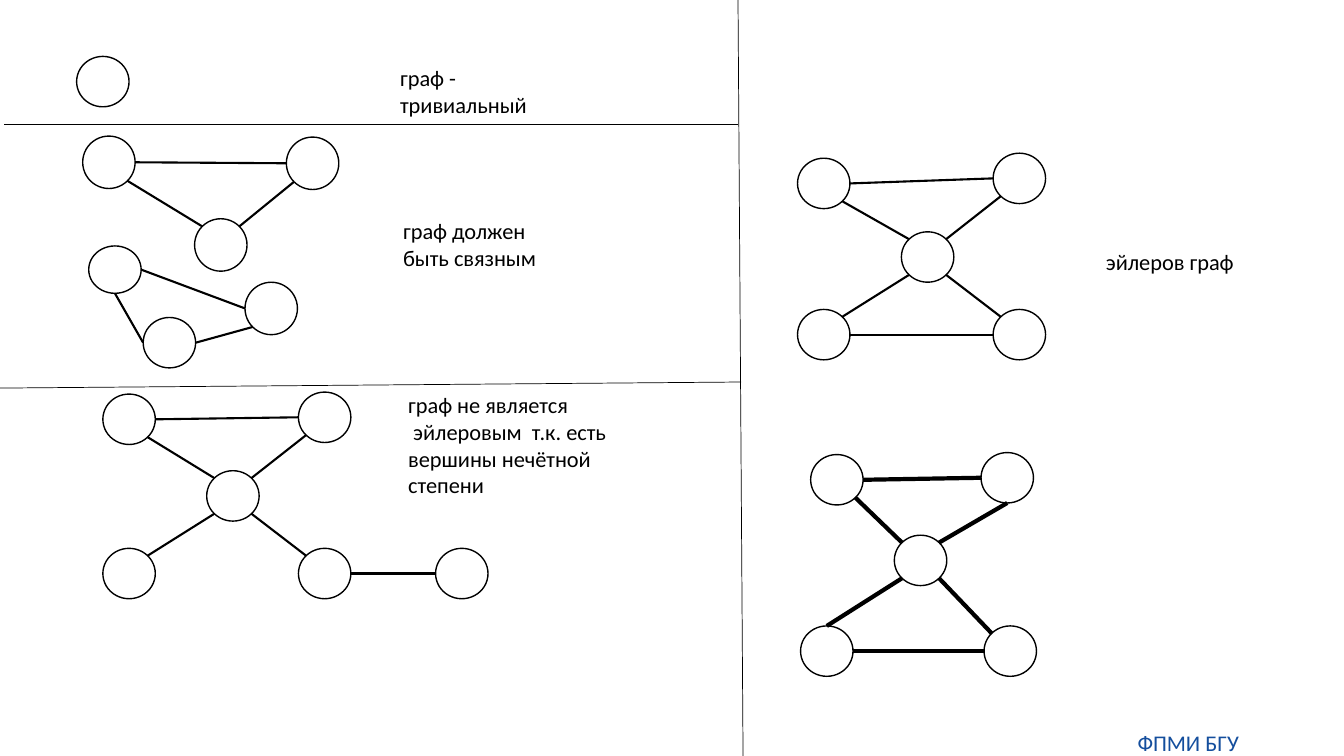
import pptx
import pptx.util
import pptx.dml.color
import pptx.enum.shapes
import pptx.enum.text
from lxml import etree

PX = 9144
SLIDE_SIZE = (1333, 750)
BLACK, WHITE, BLUE = "000000", "FFFFFF", "144E9D"
FONT, TEXT_SIZE = "Calibri", 16
NODE_WIDTH, NODE_HEIGHT = 52, 50

BOWTIE_EDGES = [
    ("A", "SE", "C", "NW"), ("B", "SW", "C", "NE"), ("A", "E", "B", "W"),
    ("C", "SW", "D", "NE"), ("C", "SE", "E", "NW"), ("D", "E", "E", "W"),
]

GRAPHS = [
    {"edge_width": 1.5,
     "nodes": {"A": (791, 157), "B": (985, 152), "C": (894, 230),
               "D": (791, 307), "E": (985, 307)},
     "edges": BOWTIE_EDGES},
    {"edge_width": 1.5,
     "nodes": {"A": (102, 391), "B": (296, 389), "C": (205, 467),
               "D": (102, 544), "E": (296, 544), "F": (432, 544)},
     "edges": BOWTIE_EDGES[:-1] + [("E", "E", "F", "W")]},
    {"edge_width": 1.5, "nodes": {"A": (76, 56)}, "edges": []},
    {"edge_width": 1.5,
     "nodes": {"A": (82, 135, 52), "B": (284, 136, 52), "C": (193, 217, 52),
               "D": (88, 244, 47), "E": (243, 280, 52), "F": (142, 315)},
     "edges": BOWTIE_EDGES[:3] + [("D", "E", "E", "W"), ("D", "S", "F", "W"),
                                  ("F", "E", "E", "SW")]},
    {"edge_width": 3,
     "nodes": {"A": (804, 451), "B": (973, 449), "C": (887, 531),
               "D": (794, 621), "E": (976, 621)},
     "edges": [("A", "E", "B", "W"), ("B", "S", "C", "NE"), ("C", "SW", "D", "N"),
               ("D", "E", "E", "W"), ("E", "NW", "C", "SE"), ("C", "NW", "A", "SE")]},
]

DIVIDERS = [(4, 123, 732, 123), (0, 385, 735, 379), (732, 0, 737, 750)]

FRAMED_LABELS = [
    ((1087, 241, 149, 37), "эйлеров граф", False),
    ((390, 211, 190, 64), "граф должен быть связным", True),
    ((387, 59, 190, 64), "граф - тривиальный", True),
]
ODD_DEGREE_NOTE = ((395, 383, 247, 118),
                   ["граф не является",
                    " эйлеровым  т.к. есть вершины нечётной степени"])
FOOTER = ((1122, 723, 113, 27), ["ФПМИ БГУ"])

DIAGONAL = 0.5 ** 0.5
SITES = {"N": (0, -1), "S": (0, 1), "E": (1, 0), "W": (-1, 0)}
for vertical in "NS":
    for horizontal in "EW":
        SITES[vertical + horizontal] = (SITES[horizontal][0] * DIAGONAL,
                                        SITES[vertical][1] * DIAGONAL)


def emu(*lengths):
    return [round(length * PX) for length in lengths]


def colour(value):
    return pptx.dml.color.RGBColor.from_string(value)


def add_outline(shapes, kind, box, line_colour, line_width):
    outline = shapes.add_shape(kind, *emu(*box))
    outline.shadow.inherit = False
    outline.fill.background()
    outline.line.color.rgb = colour(line_colour)
    outline.line.width = pptx.util.Pt(line_width)
    return outline


def add_line(shapes, ends, width):
    line = shapes.add_connector(pptx.enum.shapes.MSO_CONNECTOR.STRAIGHT, *emu(*ends))
    line.line.color.rgb = colour(BLACK)
    line.line.width = pptx.util.Pt(width)
    etree.SubElement(line._element.spPr, pptx.oxml.ns.qn("a:effectLst"))


def site_point(node, site):
    left, top, height = (*node, NODE_HEIGHT)[:3]
    across, down = SITES[site]
    return (left + NODE_WIDTH / 2 * (1 + across), top + height / 2 * (1 + down))


def add_graph(shapes, graph):
    nodes = graph["nodes"]
    for node in nodes.values():
        left, top, height = (*node, NODE_HEIGHT)[:3]
        add_outline(shapes, pptx.enum.shapes.MSO_SHAPE.OVAL,
                    (left, top, NODE_WIDTH, height), BLACK, 1)
    for start, start_site, end, end_site in graph["edges"]:
        ends = site_point(nodes[start], start_site) + site_point(nodes[end], end_site)
        add_line(shapes, ends, graph["edge_width"])


def write(frame, lines, text_colour=BLACK, align=pptx.enum.text.PP_ALIGN.LEFT, wrap=True):
    frame.word_wrap = wrap
    frame.auto_size = pptx.enum.text.MSO_AUTO_SIZE.SHAPE_TO_FIT_TEXT
    frame.vertical_anchor = pptx.enum.text.MSO_ANCHOR.TOP
    frame.text = "\n".join(lines)
    for paragraph in frame.paragraphs:
        paragraph.alignment = align
        paragraph.font.name = FONT
        paragraph.font.size = pptx.util.Pt(TEXT_SIZE)
        paragraph.font.color.rgb = colour(text_colour)


def main():
    deck = pptx.Presentation()
    deck.slide_width, deck.slide_height = emu(*SLIDE_SIZE)
    shapes = deck.slides.add_slide(deck.slide_layouts[6]).shapes

    for graph in GRAPHS:
        add_graph(shapes, graph)
    for divider in DIVIDERS:
        add_line(shapes, divider, 0.5)

    for box, text, wrap in FRAMED_LABELS:
        label = add_outline(shapes, pptx.enum.shapes.MSO_SHAPE.RECTANGLE, box, WHITE, 0.75)
        write(label.text_frame, [text], wrap=wrap)

    note_box, note_lines = ODD_DEGREE_NOTE
    write(shapes.add_textbox(*emu(*note_box)).text_frame, note_lines)

    footer_box, footer_lines = FOOTER
    footer = shapes.add_textbox(*emu(*footer_box)).text_frame
    footer.margin_left = footer.margin_right = footer.margin_top = footer.margin_bottom = 0
    write(footer, footer_lines, BLUE, pptx.enum.text.PP_ALIGN.CENTER)

    deck.save("out.pptx")


if __name__ == "__main__":
    main()
